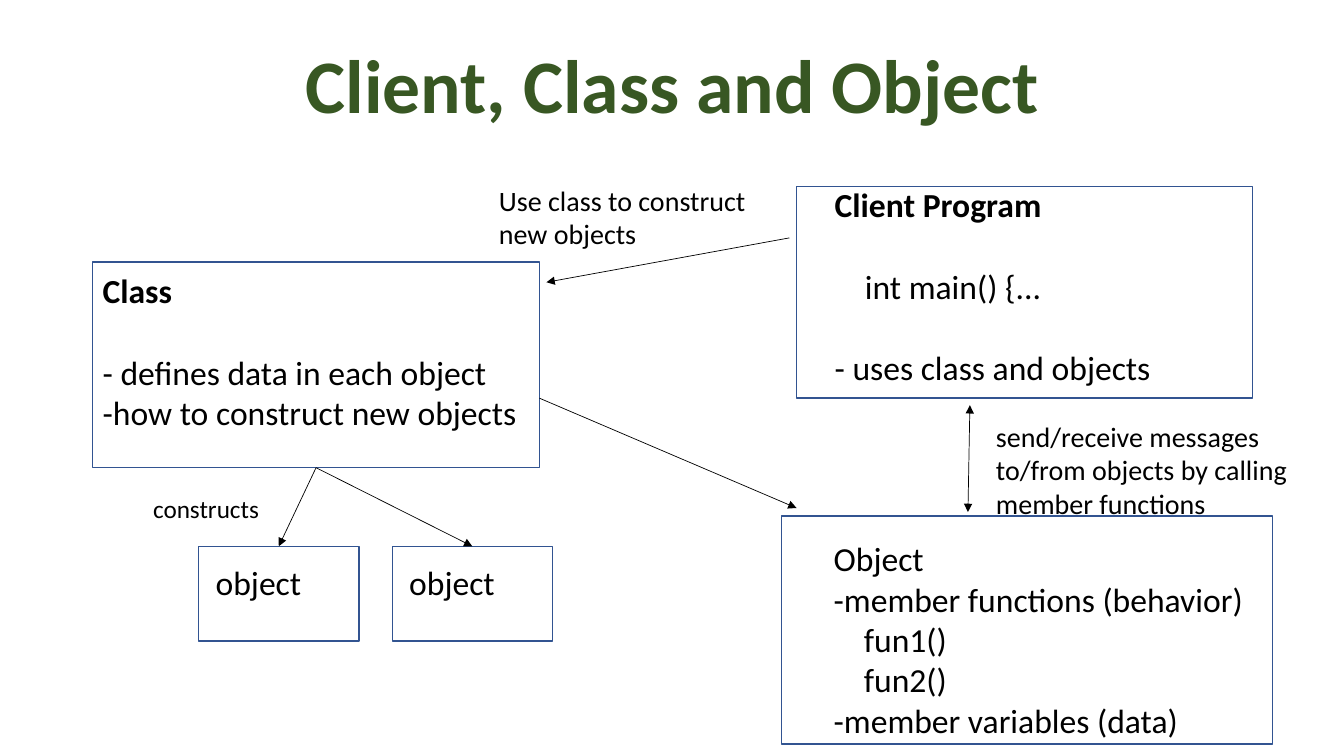
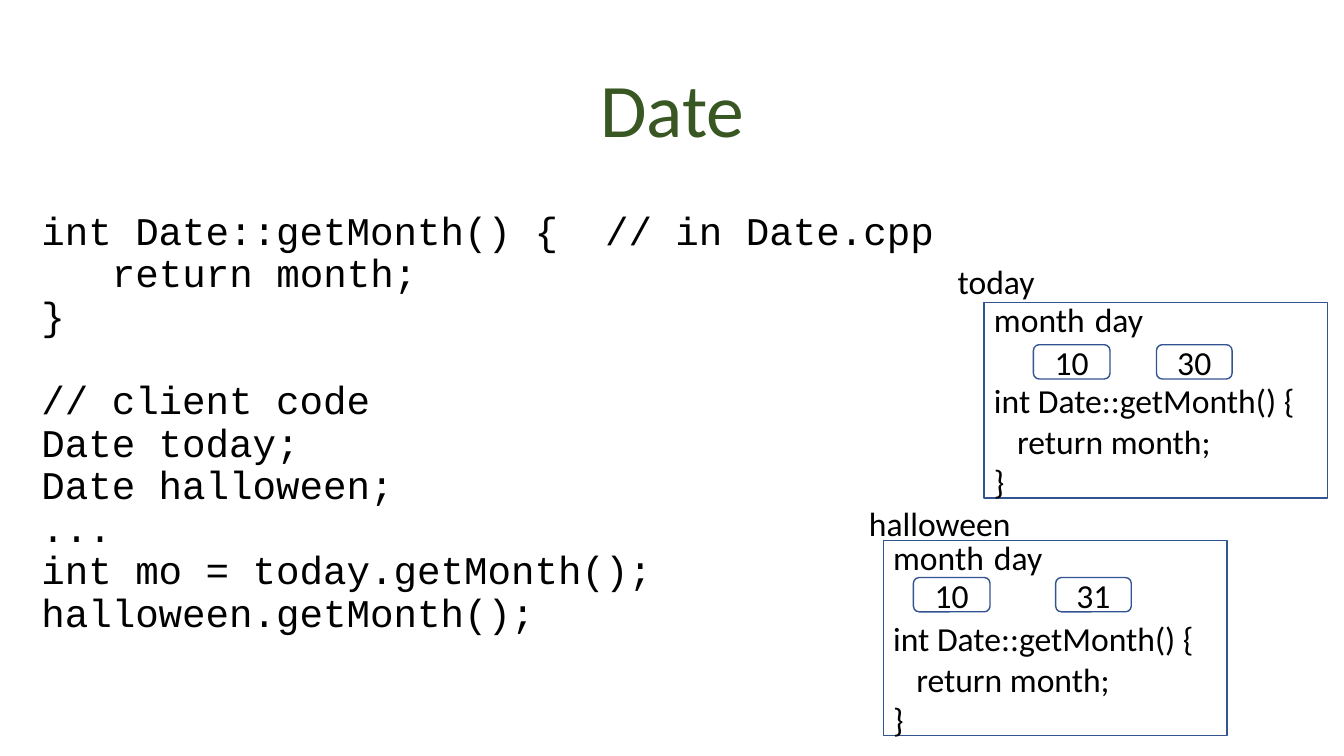
"""Build two slides on clients, classes and objects, with a Date example."""
from lxml import etree
from pptx import Presentation
from pptx.dml.color import RGBColor
from pptx.enum.shapes import MSO_CONNECTOR, MSO_SHAPE
from pptx.enum.text import MSO_ANCHOR, MSO_AUTO_SIZE, PP_ALIGN
from pptx.oxml.ns import qn
from pptx.util import Inches, Pt

RECT, ROUNDED = MSO_SHAPE.RECTANGLE, MSO_SHAPE.ROUNDED_RECTANGLE
STRAIGHT = MSO_CONNECTOR.STRAIGHT
LEFT, CENTER = PP_ALIGN.LEFT, PP_ALIGN.CENTER
TOP, MIDDLE = MSO_ANCHOR.TOP, MSO_ANCHOR.MIDDLE
CONTENT_LAYOUT, TITLE_LAYOUT = 1, 5
BOTTOM_SITE, TOP_SITE = 2, 0

COLORS = {"title": "385723", "text": "000000", "outline": "325491", "paper": "FFFFFF"}
BODY_FONT, CODE_FONT = "Calibri", "Courier New"
BODY_LINE, CODE_LINE = 29.3, 30.3


def line(text, indent=0, gap=0, bold=False):
    return {"text": text, "indent": indent, "gap": gap, "bold": bold}


CLIENT_FRAME = (7.9, 1.85, 4.52, 2.1)
CLASS_FRAME = (0.92, 2.6, 4.43, 2.04)
OBJECT_FRAME = (7.75, 5.12, 4.87, 2.26)
INSTANCE_LEFTS = (1.97, 3.89)

LABELS = [
    ((8.18, 1.78, 3.55, 2.12), 24, [
        line("Client Program", bold=True),
        line("int main() {...", 0.3, BODY_LINE),
        line("- uses class and objects", gap=BODY_LINE)]),
    ((0.92, 2.63, 4.43, 1.72), 24, [
        line("Class", bold=True),
        line("- defines data in each object", gap=BODY_LINE),
        line("-how to construct new objects")]),
    ((8.17, 5.29, 4.58, 2.12), 24, [
        line("Object"),
        line("-member functions (behavior)"),
        line("fun1()", 0.3),
        line("fun2()", 0.3),
        line("-member variables (data)")]),
    ((1.42, 4.84, 1.96, 0.4), 18, [line("constructs")]),
    ((9.78, 4.11, 3.37, 1.11), 20, [
        line("send/receive messages to/from objects by calling member functions")]),
    ((4.85, 1.77, 2.91, 0.77), 20, [
        line("Use class to construct"), line("new objects")]),
]

ARROWS = [
    ((5.35, 3.95), (7.9, 5.04), False),
    ((9.62, 4.02), (9.6, 5.08), True),
    ((7.83, 2.36), (5.42, 2.8), False),
]

CODE = [
    line("int Date::getMonth() {  // in Date.cpp"),
    line("return month;", 0.7),
    line("}"),
    line("// client code", gap=CODE_LINE),
    line("Date today;"),
    line("Date halloween;"),
    line("..."),
    line("int mo = today.getMonth();"),
    line("halloween.getMonth();"),
]

DATE_MEMBERS = [
    line("month\tday"),
    line("int Date::getMonth() {", gap=BODY_LINE),
    line("return month;", 0.23),
    line("}"),
]

DATES = [
    {"name": "today", "label": (9.4, 2.54, 1.77, 0.5), "corner": (9.76, 3),
     "values_top": 3.42, "values": [("10", 10.25, 0.76), ("30", 11.47, 0.75)]},
    {"name": "halloween", "label": (8.52, 4.94, 2.16, 0.5), "corner": (8.76, 5.36),
     "values_top": 5.73, "values": [("10", 9.06, 0.76), ("31", 10.47, 0.75)]},
]


def color(name):
    return RGBColor.from_string(COLORS[name])


def inches(frame):
    return [Inches(length) for length in frame]


def write(box, lines, size, font=BODY_FONT, ink="text", align=LEFT, anchor=TOP, spacing=1.0):
    frame = box.text_frame
    frame.word_wrap = True
    frame.auto_size = MSO_AUTO_SIZE.NONE
    frame.vertical_anchor = anchor
    for index, item in enumerate(lines):
        para = frame.paragraphs[0] if index == 0 else frame.add_paragraph()
        para.alignment = align
        para.line_spacing = spacing
        para.space_before = Pt(item["gap"])
        props = para._p.get_or_add_pPr()
        props.set("marL", str(Inches(item["indent"])))
        props.set("indent", "0")
        etree.SubElement(props, qn("a:buNone"))
        if "\t" in item["text"]:
            stops = etree.SubElement(props, qn("a:tabLst"))
            etree.SubElement(stops, qn("a:tab"), pos=str(Inches(1.58)), algn="l")
        span = para.add_run()
        span.text = item["text"]
        span.font.name = font
        span.font.size = Pt(size)
        span.font.bold = item["bold"]
        span.font.color.rgb = color(ink)


def add_page(deck, layout, title, frame, bold=False):
    page = deck.slides.add_slide(deck.slide_layouts[layout])
    heading = page.shapes.title
    heading.left, heading.top, heading.width, heading.height = inches(frame)
    write(heading, [line(title, bold=bold)], 54, ink="title", align=CENTER,
          anchor=MIDDLE, spacing=0.9)
    return page


def add_label(page, frame, lines, size=24):
    write(page.shapes.add_textbox(*inches(frame)), lines, size)


def add_box(page, frame, preset=RECT, filled=False):
    box = page.shapes.add_shape(preset, *inches(frame))
    box.shadow.inherit = False
    if filled:
        box.fill.solid()
        box.fill.fore_color.rgb = color("paper")
    else:
        box.fill.background()
    box.line.color.rgb = color("outline")
    box.line.width = Pt(1)
    return box


def add_arrow(page, start, end, both_ends=False):
    arrow = page.shapes.add_connector(STRAIGHT, *inches(start + end))
    arrow.line.color.rgb = color("text")
    arrow.line.width = Pt(0.5)
    stroke = arrow.line._get_or_add_ln()
    for tag in ("a:headEnd", "a:tailEnd") if both_ends else ("a:tailEnd",):
        etree.SubElement(stroke, qn(tag), type="triangle")
    etree.SubElement(arrow._element.spPr, qn("a:effectLst"))
    return arrow


def build_diagram(deck):
    page = add_page(deck, TITLE_LAYOUT, "Client, Class and Object",
                    (0.92, 0.17, 11.5, 1.43), bold=True)
    add_box(page, CLIENT_FRAME)
    class_box = add_box(page, CLASS_FRAME)
    add_box(page, OBJECT_FRAME)
    for left in INSTANCE_LEFTS:
        instance = add_box(page, (left, 5.42, 1.59, 0.94))
        add_label(page, (left + 0.07, 5.53, 1.52, 0.5), [line("object")])
        arrow = add_arrow(page, (3.13, 4.64), (left + 0.79, 5.42))
        arrow.begin_connect(class_box, BOTTOM_SITE)
        arrow.end_connect(instance, TOP_SITE)
    for frame, size, lines in LABELS:
        add_label(page, frame, lines, size)
    for start, end, both_ends in ARROWS:
        add_arrow(page, start, end, both_ends)


def build_date(deck):
    page = add_page(deck, CONTENT_LAYOUT, "Date", (0.92, 0.4, 11.5, 1.45))
    body = page.placeholders[1]
    body.left, body.top, body.width, body.height = inches((0.31, 2, 12.1, 4.76))
    write(body, CODE, 28, font=CODE_FONT, spacing=Pt(CODE_LINE))
    body.text_frame.margin_top = Inches(0.09)
    for date in DATES:
        members = add_box(page, date["corner"] + (3.41, 1.94), filled=True)
        write(members, DATE_MEMBERS, 24, anchor=MIDDLE)
        for value, left, width in date["values"]:
            cell = add_box(page, (left, date["values_top"], width, 0.34), ROUNDED, True)
            write(cell, [line(value)], 24, align=CENTER, anchor=MIDDLE)
        add_label(page, date["label"], [line(date["name"])])


def main():
    deck = Presentation()
    deck.slide_width, deck.slide_height = Inches(13.33), Inches(7.5)
    build_diagram(deck)
    build_date(deck)
    deck.save("out.pptx")


main()
